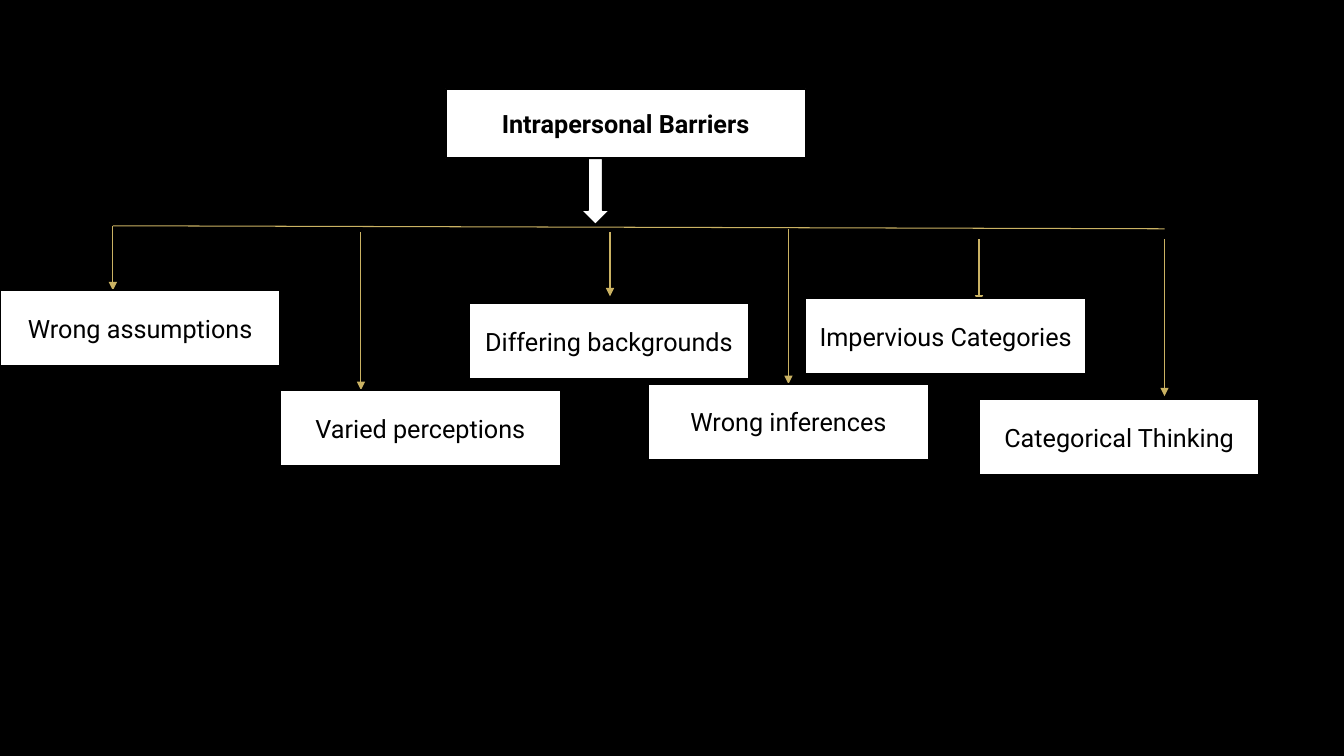
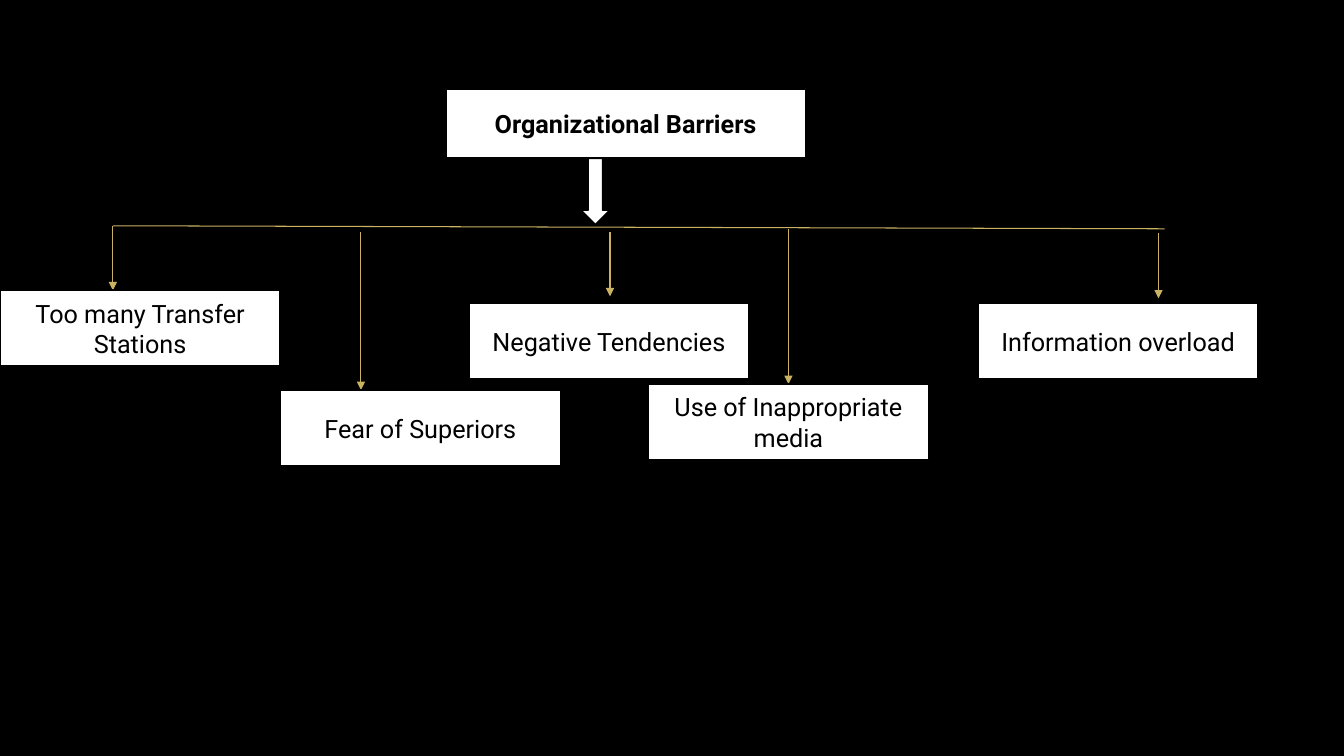
"""Build two tree diagrams of communication barriers."""
from pptx import Presentation
from pptx.dml.color import RGBColor
from pptx.enum.shapes import MSO_CONNECTOR as CONN, MSO_SHAPE as SHAPE
from pptx.enum.text import MSO_ANCHOR as ANCHOR, MSO_AUTO_SIZE as AUTO, PP_ALIGN as ALIGN
from pptx.oxml.ns import qn
from pptx.util import Inches, Pt
from lxml import etree

BLACK = RGBColor(0x00, 0x00, 0x00)
WHITE = RGBColor(0xFF, 0xFF, 0xFF)
GOLD = RGBColor(0xCA, 0xB2, 0x63)
BOX_W, BOX_H = 2.78, 0.75
FONT = {"name": "Roboto", "size": Pt(18)}

# Each branch: arrow x, arrow start, arrow end, box left, box top
SHARED = [
    (1.12, 2.24, 2.88, 0, 2.88),
    (3.58, 2.3, 3.87, 2.78, 3.87),
    (6.05, 2.3, 2.94, 4.65, 3.01),
    (7.82, 2.27, 3.84, 6.43, 3.81),
]
SLIDES = [
    ("Intrapersonal Barriers",
     ["Wrong assumptions", "Varied perceptions", "Differing backgrounds",
      "Wrong inferences", "Impervious Categories", "Categorical Thinking"],
     SHARED + [(9.71, 2.37, 3.01, 7.99, 2.96), (11.55, 2.37, 3.93, 9.71, 3.96)]),
    ("Organizational Barriers",
     ["Too many Transfer Stations", "Fear of Superiors", "Negative Tendencies",
      "Use of Inappropriate media", "Information overload"],
     SHARED + [(11.49, 2.31, 2.96, 9.7, 3.01)]),
]


def style_box(sp, text="", bold=False):
    sp.shadow.inherit = False
    sp.fill.solid()
    sp.fill.fore_color.rgb = WHITE
    sp.line.color.rgb = BLACK
    sp.line.width = Pt(1.25)
    if text:
        tf = sp.text_frame
        tf.text = text
        for key, value in {"word_wrap": True, "auto_size": AUTO.NONE,
                           "vertical_anchor": ANCHOR.MIDDLE}.items():
            setattr(tf, key, value)
        p = tf.paragraphs[0]
        p.alignment = ALIGN.CENTER
        font = p.runs[0].font
        for key, value in {**FONT, "bold": bold}.items():
            setattr(font, key, value)
        font.color.rgb = BLACK


def add_line(s, x1, y1, x2, y2, arrow=False):
    line = s.shapes.add_connector(CONN.STRAIGHT, *map(Inches, (x1, y1, x2, y2)))
    line.line.color.rgb = GOLD
    line.line.width = Pt(0.75)
    if arrow:
        etree.SubElement(line.line._get_or_add_ln(), qn("a:tailEnd"), type="triangle")
    etree.SubElement(line._element.spPr, qn("a:effectLst"))
    return line


prs = Presentation()
prs.slide_width, prs.slide_height = Inches(13.33), Inches(7.5)
background = prs.slide_master.background.fill
background.solid()
background.fore_color.rgb = BLACK

for heading, labels, branches in SLIDES:
    s = prs.slides.add_slide(prs.slide_layouts[5])
    title = s.shapes.title
    title.left, title.top, title.width, title.height = map(Inches, (4.42, 0.88, 3.57, 0.69))
    style_box(title, heading, bold=True)
    style_box(s.shapes.add_shape(SHAPE.DOWN_ARROW, *map(Inches, (5.76, 1.57, 0.29, 0.66))))
    add_line(s, 1.12, 2.24, 11.55, 2.27)

    for label, (x, start, end, left, top) in zip(labels, branches):
        arrow = add_line(s, x, start, x, end, arrow=True)
        box = s.shapes.add_shape(SHAPE.RECTANGLE, *map(Inches, (left, top, BOX_W, BOX_H)))
        style_box(box, label)
        if abs(left + BOX_W / 2 - x) < 0.005:
            arrow.end_connect(box, 0)

prs.save("out.pptx")
